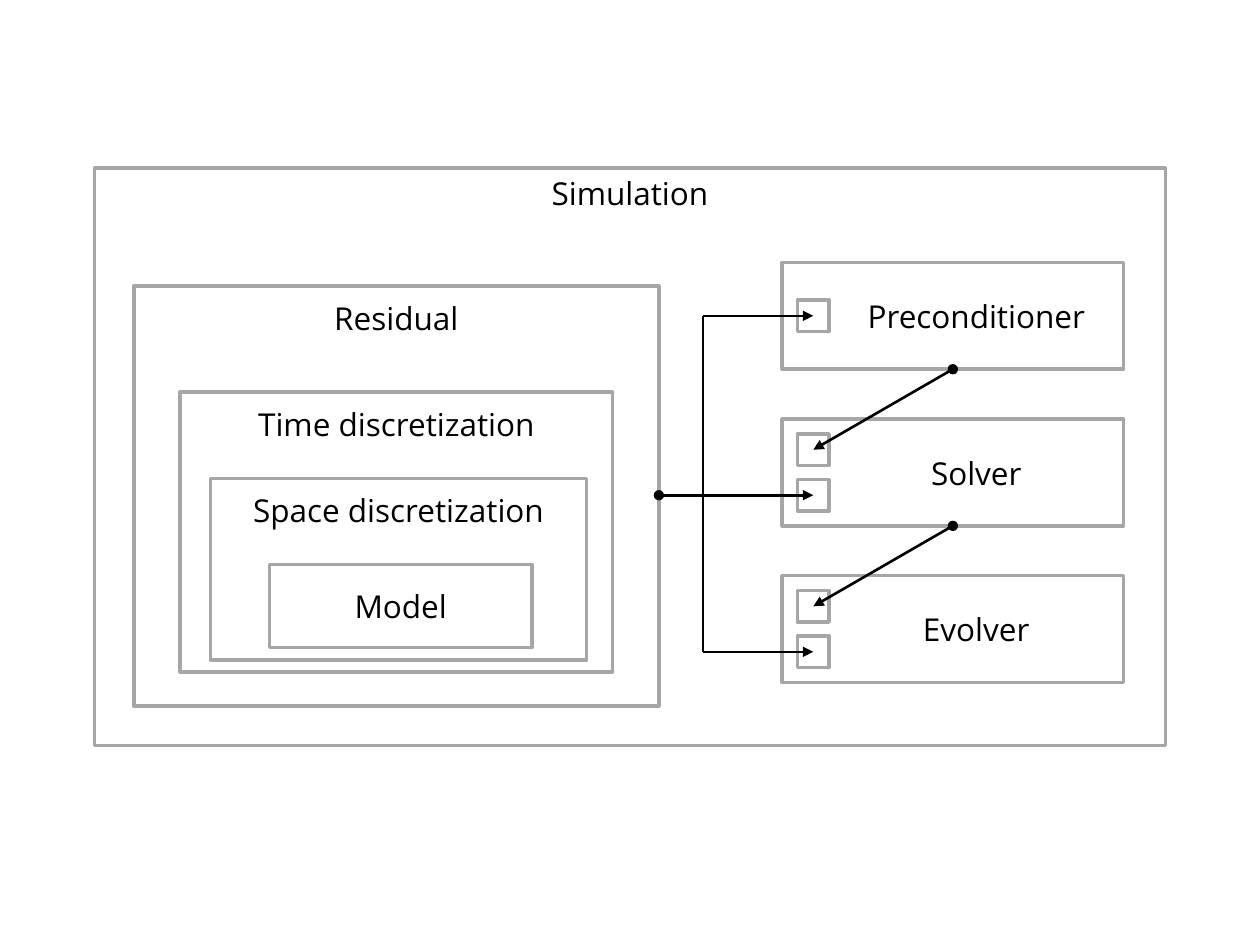
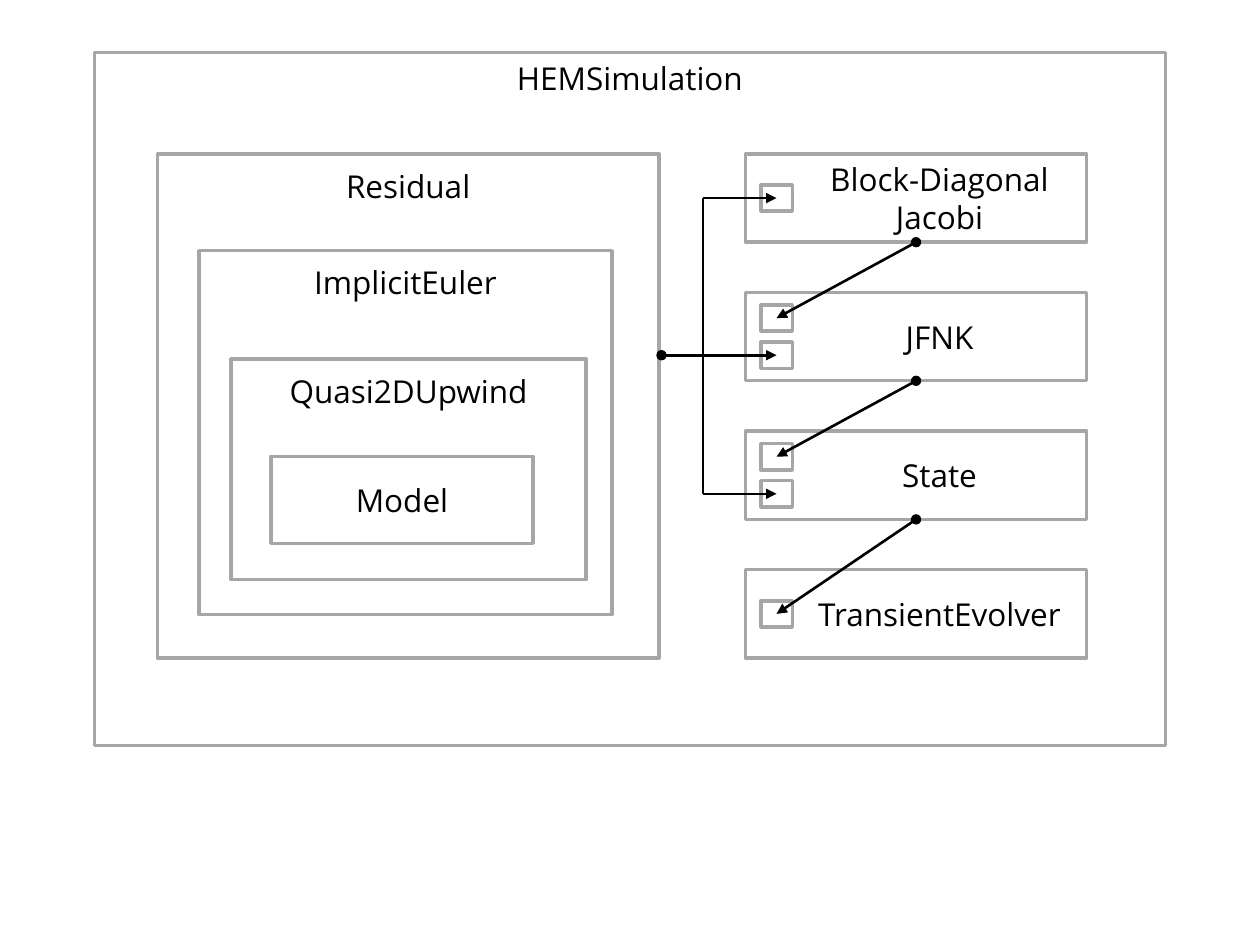
from dataclasses import dataclass

from lxml import etree
from pptx import Presentation
from pptx.dml.color import RGBColor
from pptx.enum.shapes import MSO_CONNECTOR, MSO_SHAPE
from pptx.enum.text import MSO_ANCHOR, PP_ALIGN
from pptx.oxml.ns import qn
from pptx.util import Pt

RECT = MSO_SHAPE.RECTANGLE
STRAIGHT = MSO_CONNECTOR.STRAIGHT
TOP, MIDDLE = MSO_ANCHOR.TOP, MSO_ANCHOR.MIDDLE
CENTER = PP_ALIGN.CENTER
BLANK = 6


@dataclass(frozen=True)
class Theme:
    font: str = "Open Sans"
    size: float = 18
    ink: RGBColor = RGBColor(0x00, 0x00, 0x00)
    frame: RGBColor = RGBColor(0xA6, 0xA6, 0xA6)
    border: float = 2
    wire: float = 1.5


@dataclass(frozen=True)
class Stack:
    """A column of equal cards; each card holds one or two small slots."""
    left: float
    top: float
    step: float
    height: float
    slot: float  # slot height
    spread: float  # distance of paired slots from the card's middle
    names: tuple
    counts: tuple
    width: float = 195
    inset: float = 8.75
    side: float = 18  # slot width

    @property
    def hub(self):
        return self.left + self.inset + self.side / 2

    def ports(self, row):
        """Heights of the slot centres in one card."""
        mid = self.top + row * self.step + self.height / 2
        if self.counts[row] == 1:
            return [mid]
        return [mid - self.spread, mid + self.spread]


class Deck:
    def __init__(self, theme):
        self.theme = theme
        self.show = Presentation()
        self.show.slide_width, self.show.slide_height = Pt(720), Pt(540)
        self.slide = None

    def page(self):
        layout = self.show.slide_layouts[BLANK]
        self.slide = self.show.slides.add_slide(layout)

    def letter(self, shape, text, anchor, head):
        """Set the centred text of a shape, with head as its top inset."""
        frame = shape.text_frame
        frame.word_wrap = True
        frame.vertical_anchor = anchor
        frame.margin_left = frame.margin_right = Pt(7.2)
        frame.margin_top, frame.margin_bottom = Pt(head), Pt(3.6)
        para = frame.paragraphs[0]
        para.text = text
        para.alignment = CENTER
        font = para.runs[0].font
        font.name, font.size = self.theme.font, Pt(self.theme.size)
        font.color.rgb = self.theme.ink

    def box(self, area, text="", anchor=TOP, head=3.6):
        shape = self.slide.shapes.add_shape(RECT, *map(Pt, area))
        shape.shadow.inherit = False
        shape.fill.background()
        shape.line.color.rgb = self.theme.frame
        shape.line.width = Pt(self.theme.border)
        if text:
            self.letter(shape, text, anchor, head)

    def label(self, area, text):
        shape = self.slide.shapes.add_textbox(*map(Pt, area))
        self.letter(shape, text, MIDDLE, 3.6)

    def wire(self, start, end, head=None, tail=None):
        link = self.slide.shapes.add_connector(
            STRAIGHT, *map(Pt, (*start, *end)))
        link.line.color.rgb = self.theme.ink
        link.line.width = Pt(self.theme.wire)
        props = link._element.spPr
        stroke = props.find(qn("a:ln"))
        for tag, kind in (("a:headEnd", head), ("a:tailEnd", tail)):
            if kind:
                etree.SubElement(stroke, qn(tag), type=kind)
        etree.SubElement(props, qn("a:effectLst"))

    def nest(self, outer, layers, core):
        """Draw the outer frame, the nested layers and the model inside."""
        self.box(*outer)
        for area, text in layers:
            self.box(area, text, head=7.2)
        self.box(core, "Model", MIDDLE)

    def cards(self, stack):
        gap = stack.inset + stack.side
        for row, name in enumerate(stack.names):
            top = stack.top + row * stack.step
            self.box((stack.left, top, stack.width, stack.height))
            for port in stack.ports(row):
                self.box((stack.left + stack.inset, port - stack.slot / 2,
                          stack.side, stack.slot))
            self.label((stack.left + gap, top, stack.width - gap,
                        stack.height), name)

    def chain(self, stack):
        """Link each card to the first slot of the next one."""
        mid = stack.left + stack.width / 2
        for row in range(1, len(stack.names)):
            foot = stack.top + (row - 1) * stack.step + stack.height
            self.wire((mid, foot), (stack.hub, stack.ports(row)[0]),
                      "oval", "triangle")

    def bus(self, stack, source, trunk=401.75):
        """Feed the residual to the last slot of the first three cards."""
        ports = [stack.ports(row)[-1] for row in range(3)]
        self.wire((trunk, ports[0]), (trunk, ports[-1]))
        self.wire((trunk, ports[1]), (source, ports[1]), tail="oval")
        for port in ports:
            self.wire((trunk, port), (stack.hub, port), tail="triangle")

    def scheme(self, outer, layers, core, stack, source):
        self.page()
        self.nest(outer, layers, core)
        self.cards(stack)
        self.bus(stack, source)
        self.chain(stack)


def main():
    deck = Deck(Theme())
    deck.scheme(
        outer=((54, 96, 612, 330), "Simulation"),
        layers=[
            ((76.5, 163.5, 300, 240), "Residual"),
            ((103, 224, 247, 160), "Time discretization"),
            ((120.25, 273.5, 215, 103.75), "Space discretization"),
        ],
        core=(154, 322.5, 150, 47.5),
        stack=Stack(447, 150, 89.5, 61, 18, 13,
                    ("Preconditioner", "Solver", "Evolver"), (1, 2, 2)),
        source=376.5,
    )
    deck.scheme(
        outer=((54, 30, 612, 396), "HEMSimulation"),
        layers=[
            ((90, 88, 286.5, 288), "Residual"),
            ((113.75, 143.25, 236, 208), "ImplicitEuler"),
            ((132, 205.25, 203, 126), "Quasi2DUpwind"),
        ],
        core=(154.75, 260.75, 150, 49.75),
        stack=Stack(426, 88, 79.2, 50.4, 15, 10.6,
                    ("Block-Diagonal Jacobi", "JFNK", "State",
                     "TransientEvolver"), (1, 2, 2, 1)),
        source=378,
    )
    deck.show.save("out.pptx")


if __name__ == "__main__":
    main()
